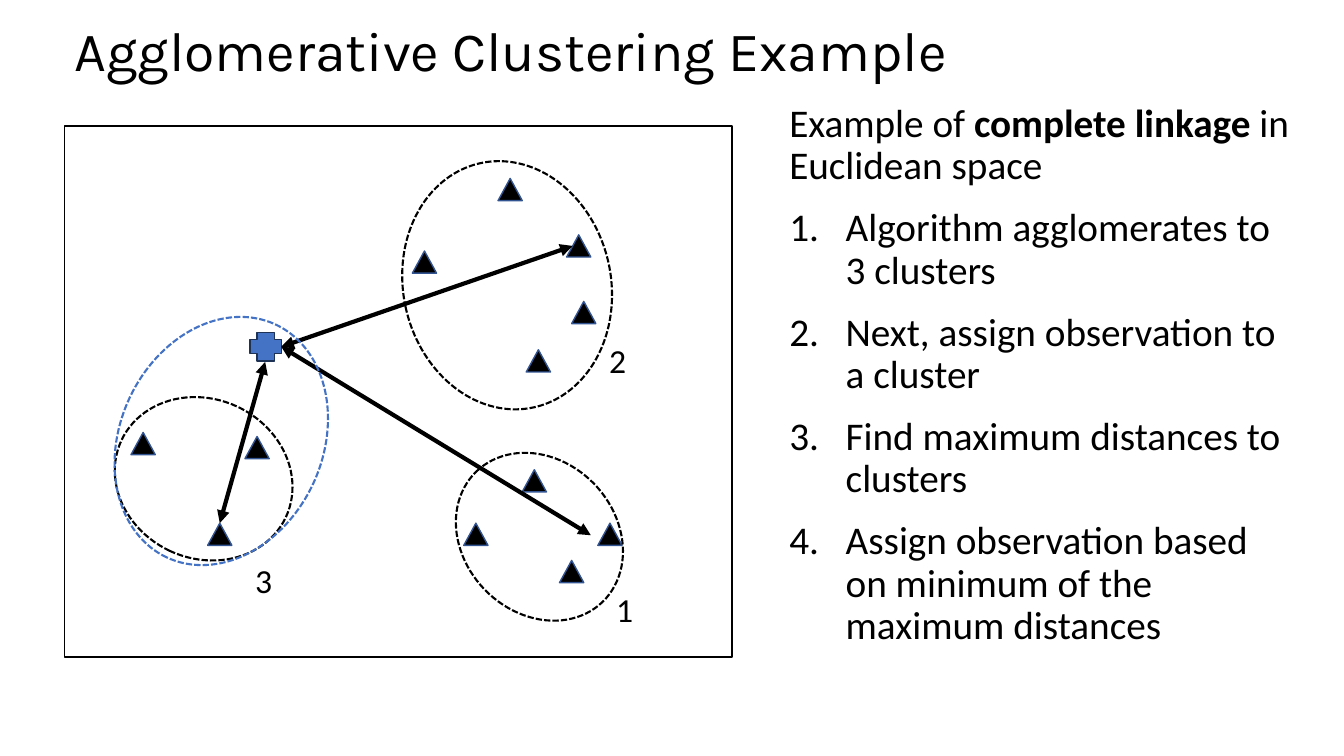
"""Build a slide that explains complete linkage clustering."""
from lxml.etree import SubElement
from pptx import Presentation
from pptx.dml.color import RGBColor
from pptx.enum.dml import MSO_LINE_DASH_STYLE as Dash
from pptx.enum.shapes import MSO_CONNECTOR as Connector, MSO_SHAPE as Shape
from pptx.enum.text import MSO_ANCHOR as Anchor, PP_ALIGN as Align
from pptx.oxml.ns import qn
from pptx.util import Inches, Pt

BLACK = RGBColor(0x00, 0x00, 0x00)
BLUE = RGBColor(0x44, 0x72, 0xC4)
EDGE_BLUE = RGBColor(0x32, 0x54, 0x91)
DARK_BLUE = RGBColor(0x1E, 0x32, 0x56)

STEPS = [
    "Algorithm agglomerates to 3 clusters",
    "Next, assign observation to a cluster",
    "Find maximum distances to clusters",
    "Assign observation based on minimum of the maximum distances",
]
POINTS = [
    (40.9, 24.9), (49.4, 17.7), (56.2, 23.3), (52.2, 34.7), (56.7, 29.9),
    (24.3, 43.3), (13, 42.9), (20.6, 51.9),
    (46, 51.9), (51.8, 46.6), (59.3, 51.9), (55.5, 55.6),
]
CLUSTERS = [
    ((44.5, 45.7, 18, 15.1), 45.8, BLACK),
    ((40, 15.9, 20.6, 24.8), 347.6, BLACK),
    ((12.3, 38.5, 15.8, 18), 295, BLACK),
    ((9.2, 33.7, 25.5, 20.1), 295, BLUE),
]
LABELS = {"1": (59.3, 57.9), "2": (58.6, 33.2), "3": (23.5, 55.1)}
DISTANCES = [
    ((56.8, 24.4), (27.9, 34.4)),
    ((21.8, 51.9), (26.3, 35.9)),
    ((27.9, 34.4), (58.6, 53.1)),
]


class ClusterPage:
    """Draw styled elements on a page, placed by columns and rows of a tenth of an inch."""

    cell = Inches(0.1)
    title_font = "Karla"
    body_font = "Calibri"

    def __init__(self, deck):
        """Add a title-only page to the deck."""
        self.page = deck.slides.add_slide(deck.slide_layouts[5])

    def lengths(self, *cells):
        """Turn grid cells into slide lengths."""
        return [round(count * self.cell) for count in cells]

    def style(self, para, name, size):
        """Set the font of a whole paragraph."""
        para.font.name, para.font.size = name, Pt(size)
        para.font.color.rgb = BLACK

    def title(self, text, place):
        """Fill, move and format the title placeholder."""
        box = self.page.shapes.title
        box.left, box.top, box.width, box.height = self.lengths(*place)
        box.text_frame.text = text
        box.text_frame.vertical_anchor = Anchor.MIDDLE
        para = box.text_frame.paragraphs[0]
        para.alignment, para.line_spacing = Align.LEFT, 0.9
        self.style(para, self.title_font, 39.6)

    def text_box(self, place):
        """Add a wrapping text box and return its frame."""
        frame = self.page.shapes.add_textbox(*self.lengths(*place)).text_frame
        frame.word_wrap = True
        return frame

    def label(self, text, corner):
        """Add a centred cluster number."""
        para = self.text_box((*corner, 5.3, 5)).paragraphs[0]
        para.text, para.alignment = text, Align.CENTER
        self.style(para, self.body_font, 24)

    def numbered_list(self, intro, steps, place):
        """Add an introduction of (text, bold) spans and numbered steps."""
        frame = self.text_box(place)
        for text, bold in intro:
            span = frame.paragraphs[0].add_run()
            span.text, span.font.bold = text, bold
        for step in steps:
            para = frame.add_paragraph()
            para.text = step
            props = para._p.get_or_add_pPr()
            props.set("marL", str(Inches(0.56)))
            props.set("indent", str(-Inches(0.56)))
            SubElement(props, qn("a:buFont"), typeface="+mj-lt")
            SubElement(props, qn("a:buAutoNum"), type="arabicPeriod")
        for para in frame.paragraphs:
            para.line_spacing, para.space_before = 0.9, Pt(14)
            self.style(para, self.body_font, 28)

    def shape(self, kind, place, line, fill=None, width=1, turn=0, dash=None):
        """Add an outlined shape, filled if a colour is given."""
        shape = self.page.shapes.add_shape(kind, *self.lengths(*place))
        shape.shadow.inherit = False
        shape.rotation = turn
        shape.line.color.rgb, shape.line.width = line, Pt(width)
        if dash:
            shape.line.dash_style = dash
        if fill is None:
            shape.fill.background()
        else:
            shape.fill.solid()
            shape.fill.fore_color.rgb = fill

    def double_arrow(self, start, end):
        """Add a line with an arrowhead at both ends."""
        arrow = self.page.shapes.add_connector(
            Connector.STRAIGHT, *self.lengths(*start, *end))
        arrow.line.color.rgb, arrow.line.width = BLACK, Pt(3)
        for tag in ("a:headEnd", "a:tailEnd"):
            SubElement(arrow.line._get_or_add_ln(), qn(tag), type="triangle")
        SubElement(arrow._element.spPr, qn("a:effectLst"))


def main():
    """Compose the slide and save it."""
    deck = Presentation()
    deck.slide_width, deck.slide_height = Inches(13.33), Inches(7.5)
    page = ClusterPage(deck)
    page.title("Agglomerative Clustering Example", (6.4, 2.4, 115, 5.8))
    intro = [("Example of ", False), ("complete linkage", True),
             (" in Euclidean space", False)]
    page.numbered_list(intro, STEPS, (77.3, 9.8, 52.4, 61.3))
    page.shape(Shape.RECTANGLE, (6.4, 12.5, 66.2, 52.7), BLACK)
    for corner in POINTS:
        page.shape(Shape.ISOSCELES_TRIANGLE, (*corner, 2.4, 2.2), EDGE_BLUE, BLACK)
    for text, corner in LABELS.items():
        page.label(text, corner)
    page.shape(Shape.CROSS, (24.8, 33, 3.1, 2.8), DARK_BLUE, BLUE)
    for start, end in DISTANCES:
        page.double_arrow(start, end)
    for place, turn, colour in CLUSTERS:
        page.shape(Shape.OVAL, place, colour, width=1.5, turn=turn,
                   dash=Dash.SQUARE_DOT)
    deck.save("out.pptx")


if __name__ == "__main__":
    main()
